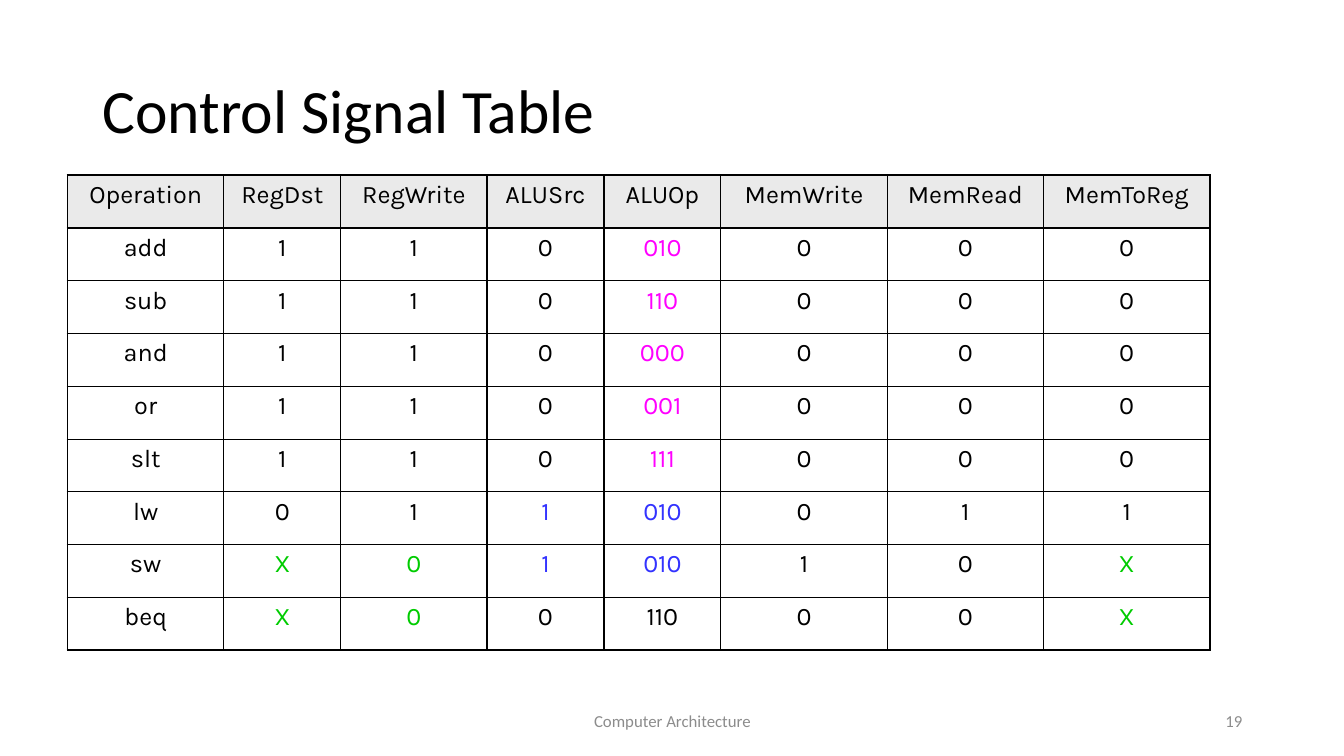
"""Build the control signal table slide."""
from lxml.etree import SubElement
from pptx import Presentation
from pptx.dml.color import RGBColor
from pptx.enum.text import MSO_ANCHOR, PP_ALIGN
from pptx.oxml.ns import qn
from pptx.util import Inches, Pt

BLACK, GRAY, HEADER_FILL = "000000", "8C8C8C", "EAEAEA"
MAGENTA, BLUE, GREEN = "FF00FF", "3333FF", "00CC00"


def color(value):
    return RGBColor.from_string(value)


def add_run(paragraph, text, size, font_name, text_color):
    run = paragraph.add_run()
    run.text = text
    run.font.size = Pt(size)
    run.font.name = font_name
    run.font.color.rgb = color(text_color)


presentation = Presentation()
presentation.slide_width = Inches(13.33)
presentation.slide_height = Inches(7.5)
slide = presentation.slides.add_slide(presentation.slide_layouts[6])

captions = [
    ("Control Signal Table", 0.92, 0.4, 11.5, 1.45, 44, BLACK, PP_ALIGN.LEFT, 0.9),
    ("Computer Architecture", 4.42, 6.95, 4.5, 0.4, 12, GRAY, PP_ALIGN.CENTER, 1.0),
    ("19", 9.42, 6.95, 3, 0.4, 12, GRAY, PP_ALIGN.RIGHT, 1.0),
]
for text, left, top, width, height, size, text_color, alignment, spacing in captions:
    box = slide.shapes.add_textbox(Inches(left), Inches(top), Inches(width), Inches(height))
    frame = box.text_frame
    frame.word_wrap = True
    frame.vertical_anchor = MSO_ANCHOR.MIDDLE
    paragraph = frame.paragraphs[0]
    paragraph.alignment = alignment
    paragraph.line_spacing = spacing
    add_run(paragraph, text, size, "Calibri", text_color)

signals = [
    "Operation RegDst RegWrite ALUSrc ALUOp MemWrite MemRead MemToReg".split(),
    "add 1 1 0 010 0 0 0".split(),
    "sub 1 1 0 110 0 0 0".split(),
    "and 1 1 0 000 0 0 0".split(),
    "or 1 1 0 001 0 0 0".split(),
    "slt 1 1 0 111 0 0 0".split(),
    "lw 0 1 1 010 0 1 1".split(),
    "sw X 0 1 010 1 0 X".split(),
    "beq X 0 0 110 0 0 X".split(),
]
cell_colors = {(row, 4): MAGENTA for row in range(1, 6)}
cell_colors.update({(row, column): BLUE for row in (6, 7) for column in (3, 4)})
cell_colors.update({(row, column): GREEN for row in (7, 8) for column in (1, 2, 7)})

column_widths = [1.55, 1.16, 1.45, 1.16, 1.16, 1.65, 1.55, 1.65]
last_row, last_column = len(signals) - 1, len(column_widths) - 1
table = slide.shapes.add_table(
    len(signals), len(column_widths), Inches(0.67), Inches(1.74), Inches(11.33), Inches(4.71)
).table
table.first_row = False
table.horz_banding = False
for column, width in zip(table.columns, column_widths):
    column.width = Inches(width)
for row in table.rows:
    row.height = Inches(4.71 / len(signals))

for row_index, values in enumerate(signals):
    for column_index, value in enumerate(values):
        cell = table.cell(row_index, column_index)
        paragraph = cell.text_frame.paragraphs[0]
        paragraph.alignment = PP_ALIGN.CENTER
        space_before = SubElement(paragraph._p.get_or_add_pPr(), qn("a:spcBef"))
        SubElement(space_before, qn("a:spcPct"), val="20000")
        text_color = cell_colors.get((row_index, column_index), BLACK)
        add_run(paragraph, value, 18, "Karla", text_color)

        thick_sides = {
            "a:lnL": column_index == 0,
            "a:lnR": column_index == last_column,
            "a:lnT": row_index <= 1,
            "a:lnB": row_index in (0, last_row),
        }
        properties = cell._tc.get_or_add_tcPr()
        for side, thick in thick_sides.items():
            border = SubElement(properties, qn(side), w=str(Pt(1.5 if thick else 1)))
            border_fill = SubElement(border, qn("a:solidFill"))
            SubElement(border_fill, qn("a:srgbClr"), val=BLACK)

        if row_index == 0:
            cell.fill.solid()
            cell.fill.fore_color.rgb = color(HEADER_FILL)
        else:
            cell.fill.background()

presentation.save("out.pptx")
